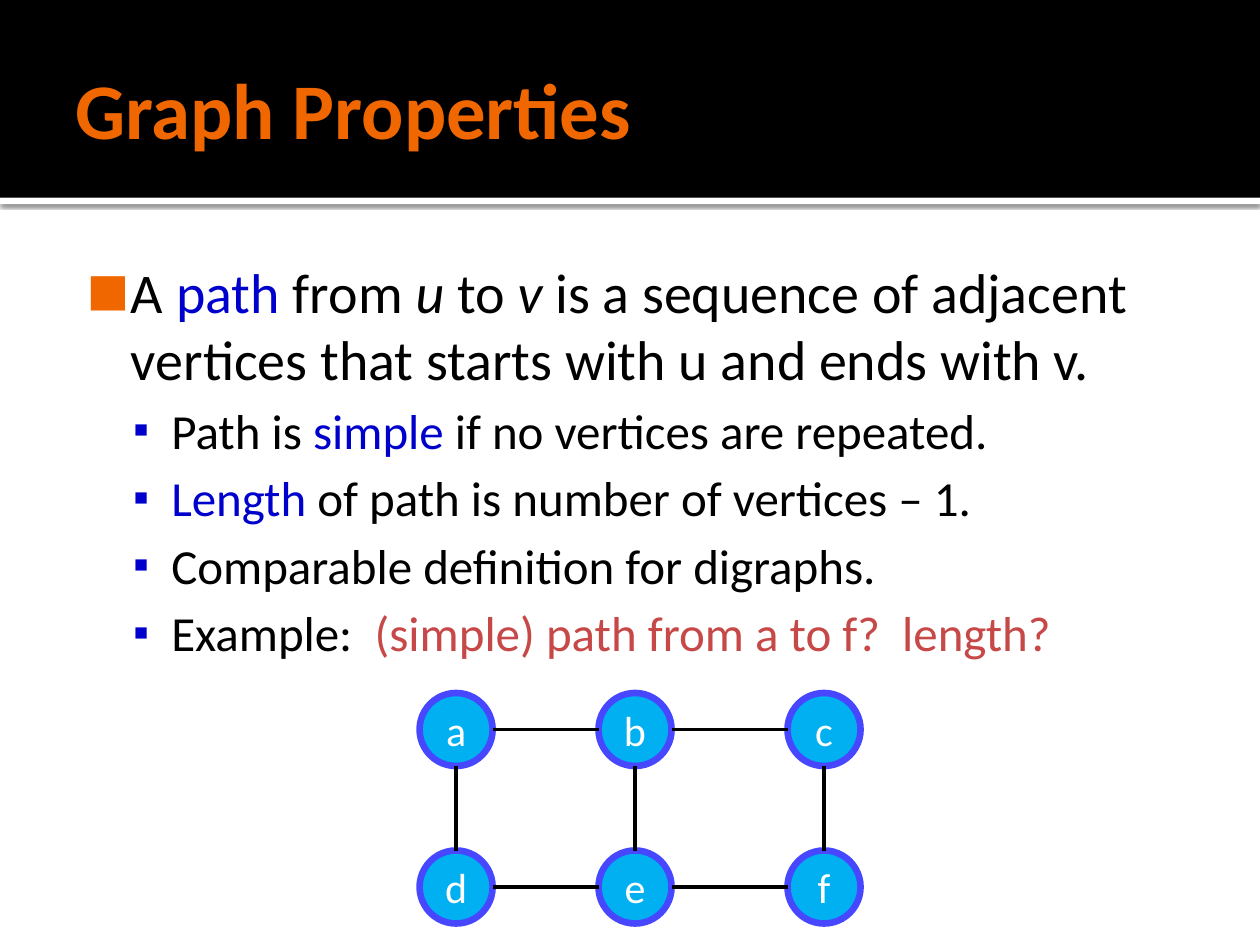
"""Builds the Graph Properties slide with its example graph."""
from lxml import etree
from pptx import Presentation
from pptx.dml.color import RGBColor
from pptx.enum.shapes import MSO_CONNECTOR, MSO_SHAPE
from pptx.enum.text import MSO_ANCHOR, PP_ALIGN
from pptx.oxml import parse_xml
from pptx.oxml.ns import nsdecls, qn
from pptx.util import Inches, Pt

RECT, OVAL = MSO_SHAPE.RECTANGLE, MSO_SHAPE.OVAL
STRAIGHT = MSO_CONNECTOR.STRAIGHT
MIDDLE, TOP = MSO_ANCHOR.MIDDLE, MSO_ANCHOR.TOP
CENTER = PP_ALIGN.CENTER

FONT = "Calibri"
BLACK = RGBColor(0x00, 0x00, 0x00)
WHITE = RGBColor(0xFF, 0xFF, 0xFF)
ORANGE = RGBColor(0xF0, 0x67, 0x00)
BLUE = RGBColor(0x00, 0x00, 0xCC)
RED = RGBColor(0xC6, 0x48, 0x47)
NODE_FILL = RGBColor(0x00, 0xB0, 0xF0)
NODE_LINE = RGBColor(0x47, 0x47, 0xFF)

NODE_SIZE = 0.58
COLUMNS = (3.33, 4.75, 6.25)
ROWS = (5.5, 6.75)
NODE_ROWS = ("abc", "def")
EDGES = ("ab", "bc", "ad", "be", "cf", "de", "ef")

LEVELS = (
    {"size": 32, "margin": 0.48, "hang": 0.35, "char": "■", "color": ORANGE, "scale": 80},
    {"size": 28, "margin": 0.8, "hang": 0.3, "char": "▪", "color": BLUE, "scale": 90},
)
BODY = (
    (0, (("A ", BLACK, False), ("path", BLUE, False), (" from ", BLACK, False),
         ("u", BLACK, True), (" to ", BLACK, False), ("v", BLACK, True),
         (" is a sequence of adjacent vertices that starts with u and ends with v.",
          BLACK, False))),
    (1, (("Path is ", BLACK, False), ("simple", BLUE, False),
         (" if no vertices are repeated.", BLACK, False))),
    (1, (("Length", BLUE, False),
         (" of path is number of vertices – 1.", BLACK, False))),
    (1, (("Comparable definition for digraphs.", BLACK, False),)),
    (1, (("Example:  ", BLACK, False),
         ("(simple) path from a to f?  length?", RED, False))),
)


def style_font(font, size, color, bold=False, italic=False):
    """Set the typeface, size, colour and emphasis of a font."""
    font.name, font.size = FONT, Pt(size)
    font.bold, font.italic = bold, italic
    font.color.rgb = color


def set_frame(tf, insets, anchor, wrap=True):
    """Set insets (left, top, right, bottom), anchor and wrapping."""
    tf.margin_left, tf.margin_top, tf.margin_right, tf.margin_bottom = map(Inches, insets)
    tf.vertical_anchor = anchor
    tf.word_wrap = wrap


def add_bar(slide, top, height, color):
    """Add a full-width band without outline."""
    s = slide.shapes.add_shape(RECT, 0, Inches(top), Inches(10), Inches(height))
    s.shadow.inherit = False
    s.fill.solid()
    s.fill.fore_color.rgb = color
    s.line.fill.background()
    return s


def add_drop_shadow(s):
    """Give a shape a soft shadow falling straight down."""
    effects = s._element.spPr.find(qn("a:effectLst"))
    effects.append(parse_xml(
        f'<a:outerShdw {nsdecls("a")} blurRad="{Pt(2.5)}" dist="{Pt(0.8)}" '
        'dir="5400000" algn="tl" rotWithShape="0"><a:srgbClr val="000000">'
        '<a:alpha val="60000"/></a:srgbClr></a:outerShdw>'))


def add_title(slide, text):
    """Add the slide title."""
    tf = slide.shapes.add_textbox(Inches(0.5), Inches(0.17), Inches(9), Inches(1.37)).text_frame
    set_frame(tf, (0.1, 0.05, 0.05, 0.05), MIDDLE)
    tf.text = text
    style_font(tf.paragraphs[0].runs[0].font, 45, ORANGE, bold=True)


def set_bullet(p, level):
    """Give a paragraph the hanging indent and bullet of its level."""
    pPr = p._p.get_or_add_pPr()
    pPr.set("marL", str(Inches(level["margin"])))
    pPr.set("indent", str(-Inches(level["hang"])))
    color = etree.SubElement(pPr, qn("a:buClr"))
    etree.SubElement(color, qn("a:srgbClr"), val=str(level["color"]))
    etree.SubElement(pPr, qn("a:buSzPct"), val=str(level["scale"] * 1000))
    etree.SubElement(pPr, qn("a:buFont"), typeface=FONT)
    etree.SubElement(pPr, qn("a:buChar"), char=level["char"])


def add_body(slide, paragraphs):
    """Add the bulleted text."""
    tf = slide.shapes.add_textbox(Inches(0.5), Inches(1.94), Inches(9), Inches(5.06)).text_frame
    set_frame(tf, (0.06, 0.1, 0.1, 0.05), TOP)
    for i, (depth, runs) in enumerate(paragraphs):
        p = tf.add_paragraph() if i else tf.paragraphs[0]
        p.level = depth
        set_bullet(p, LEVELS[depth])
        if i:
            p.space_before = Pt(5)
        for text, color, italic in runs:
            r = p.add_run()
            r.text = text
            style_font(r.font, LEVELS[depth]["size"], color, italic=italic)


def add_node(slide, name, left, top):
    """Add a labelled graph vertex."""
    s = slide.shapes.add_shape(OVAL, Inches(left), Inches(top),
                               Inches(NODE_SIZE), Inches(NODE_SIZE))
    s.shadow.inherit = False
    s.fill.solid()
    s.fill.fore_color.rgb = NODE_FILL
    s.line.color.rgb, s.line.width = NODE_LINE, Pt(3.78)
    tf = s.text_frame
    set_frame(tf, (0, 0, 0, 0), MIDDLE, wrap=False)
    tf.text = name
    p = tf.paragraphs[0]
    p.alignment = CENTER
    style_font(p.runs[0].font, 24, WHITE)


def add_edge(slide, start, end):
    """Join two vertices in the same row or column, rim to rim."""
    (x1, y1), (x2, y2) = start, end
    half = NODE_SIZE / 2
    if y1 == y2:
        points = (x1 + NODE_SIZE, y1 + half, x2, y2 + half)
    else:
        points = (x1 + half, y1 + NODE_SIZE, x2 + half, y2)
    line = slide.shapes.add_connector(STRAIGHT, *map(Inches, points))
    line.line.color.rgb, line.line.width = BLACK, Pt(2)
    etree.SubElement(line._element.spPr, qn("a:effectLst"))


def add_graph(slide):
    """Add the example graph."""
    nodes = {name: (left, top) for names, top in zip(NODE_ROWS, ROWS)
             for name, left in zip(names, COLUMNS)}
    for name, (left, top) in nodes.items():
        add_node(slide, name, left, top)
    for start, end in EDGES:
        add_edge(slide, nodes[start], nodes[end])


def main():
    """Build and save the slide."""
    prs = Presentation()
    prs.slide_width, prs.slide_height = Inches(10), Inches(7.5)
    slide = prs.slides.add_slide(prs.slide_layouts[6])
    add_drop_shadow(add_bar(slide, 1.57, 0.05, WHITE))
    add_bar(slide, 0, 1.57, BLACK)
    add_title(slide, "Graph Properties")
    add_body(slide, BODY)
    add_graph(slide)
    prs.save("out.pptx")


if __name__ == "__main__":
    main()
